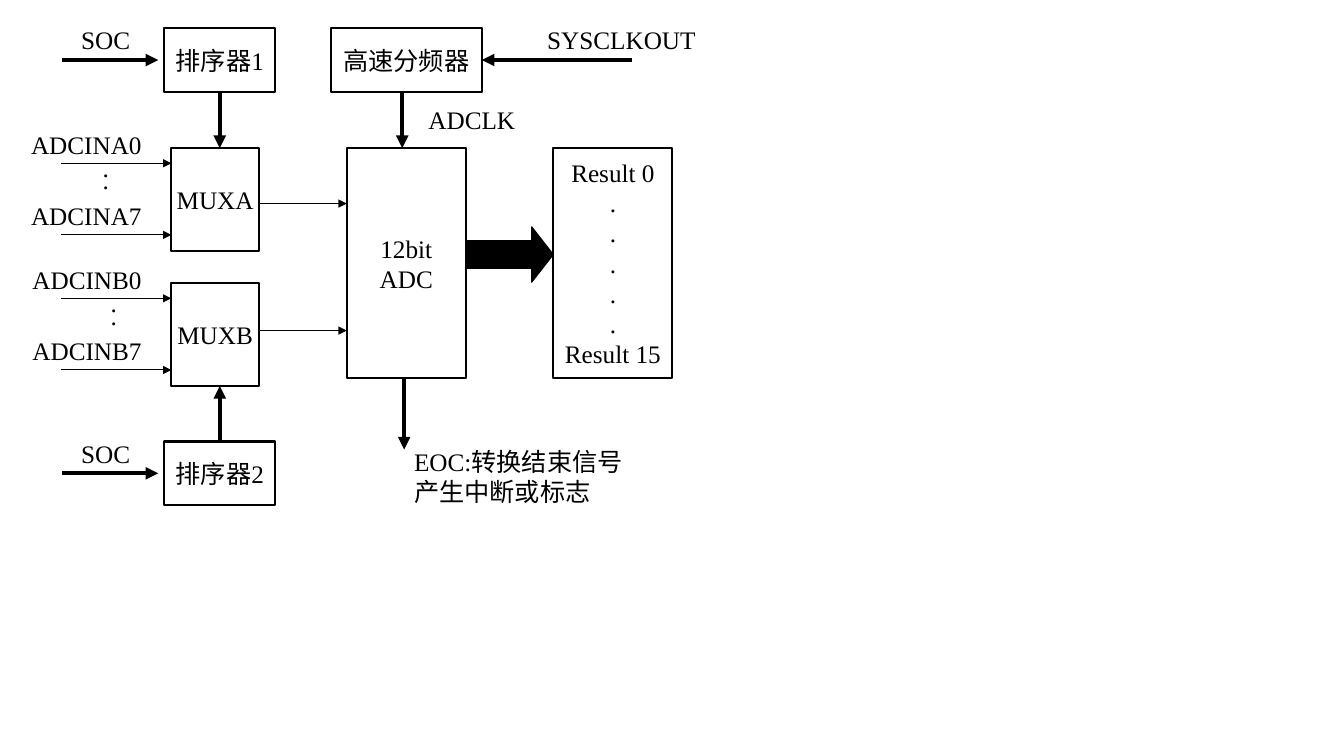
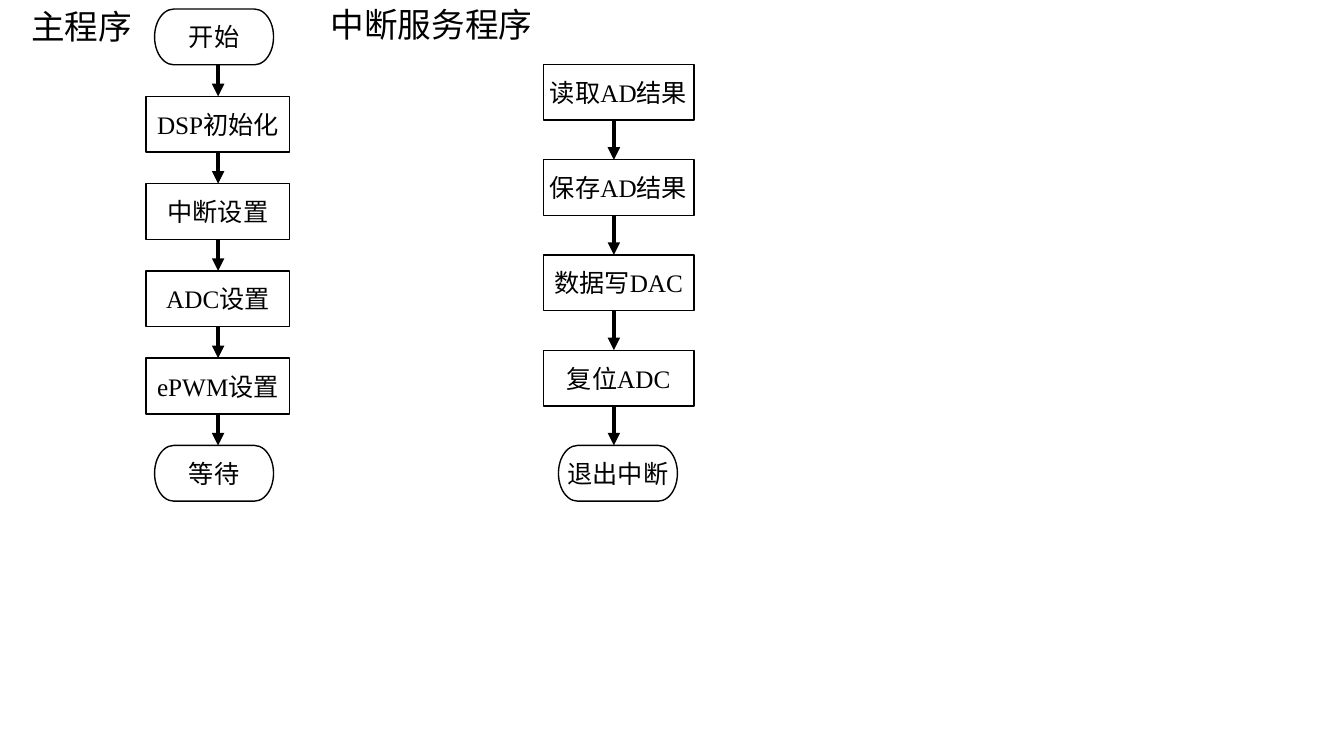
from dataclasses import dataclass

from lxml import etree
from pptx import Presentation
from pptx.dml.color import RGBColor
from pptx.enum import shapes, text
from pptx.oxml import ns
from pptx.util import Pt


@dataclass(frozen=True)
class Theme:
    ink: RGBColor = RGBColor(0, 0, 0)
    paper: RGBColor = RGBColor(255, 255, 255)
    font: str = "Times New Roman"
    body: float = 18
    title: float = 24
    thin: float = 0.75
    step: float = 1
    frame: float = 1.5
    thick: float = 3


@dataclass(frozen=True)
class Box:
    left: float
    top: float
    width: float
    height: float

    @property
    def right(self):
        return self.left + self.width

    @property
    def bottom(self):
        return self.top + self.height

    @property
    def middle(self):
        return self.top + self.height / 2

    def points(self):
        return [Pt(value) for value in (self.left, self.top, self.width, self.height)]


THEME = Theme()
SHAPE = shapes.MSO_SHAPE
ALIGN = text.PP_ALIGN


# Shared parts
def write(frame, lines, align, size=THEME.body, spacing=None):
    for index, line in enumerate(lines):
        paragraph = frame.add_paragraph() if index else frame.paragraphs[0]
        paragraph.alignment = align
        if spacing:
            paragraph.line_spacing = spacing
        run = paragraph.add_run()
        run.text = line
        run.font.name = THEME.font
        run.font.size = Pt(size)
        run.font.color.rgb = THEME.ink


def add_block(slide, box, lines=(), kind=SHAPE.RECTANGLE, line=THEME.frame, fill=THEME.paper):
    shape = slide.shapes.add_shape(kind, *box.points())
    shape.shadow.inherit = False
    shape.fill.solid()
    shape.fill.fore_color.rgb = fill
    shape.line.color.rgb = THEME.ink
    shape.line.width = Pt(line)
    frame = shape.text_frame
    frame.word_wrap = False
    frame.vertical_anchor = text.MSO_ANCHOR.MIDDLE
    write(frame, lines, ALIGN.CENTER)
    return shape


def add_label(slide, box, lines, align=ALIGN.RIGHT, wrap=False, **style):
    frame = slide.shapes.add_textbox(*box.points()).text_frame
    frame.word_wrap = wrap
    frame.auto_size = text.MSO_AUTO_SIZE.SHAPE_TO_FIT_TEXT
    write(frame, lines, align, **style)


def add_line(slide, start, end, width=THEME.thin, arrow=True):
    ends = [Pt(value) for value in (*start, *end)]
    connector = slide.shapes.add_connector(shapes.MSO_CONNECTOR.STRAIGHT, *ends)
    connector.line.color.rgb = THEME.ink
    connector.line.width = Pt(width)
    if arrow:
        outline = connector.line._get_or_add_ln()
        etree.SubElement(outline, ns.qn("a:tailEnd"), type="triangle")
    etree.SubElement(connector._element.spPr, ns.qn("a:effectLst"))


# Block diagram regions
def add_sequencer(slide, box, name, near_edge, mux_edge):
    add_block(slide, box, [name])
    axis = box.left + box.width / 2
    add_line(slide, (axis, near_edge), (axis, mux_edge), THEME.thick)
    add_line(slide, (box.left - 72.8, box.middle), (box.left - 4.3, box.middle), THEME.thick)
    add_label(slide, Box(box.left - 67, box.middle - 28.8, 49.7, 28.8), ["SOC"])


def add_multiplexer(slide, box, bank, dots_left, output, target):
    add_block(slide, box, ["MUX" + bank])
    for channel, offset in ((0, 10.8), (7, 62)):
        y = box.top + offset
        add_line(slide, (box.left - 79, y), (box.left, y))
        label = Box(box.left - 107.3, y - 28.1, 93.2, 28.8)
        add_label(slide, label, [f"ADCIN{bank}{channel}"])
    add_label(slide, Box(dots_left, box.top + 10.8, 18.7, 24.5), [".", "."], spacing=0.4)
    add_line(slide, (box.right, box.top + output), (target, box.top + output))


def add_clock(slide, box, converter_top):
    add_block(slide, box, ["高速分频器"])
    add_line(slide, (box.right + 107.2, box.middle), (box.right, box.middle), THEME.thick)
    add_label(slide, Box(box.right + 39.6, box.middle - 28.8, 120.2, 28.8), ["SYSCLKOUT"])
    axis = box.left + 51.1
    add_line(slide, (axis, box.bottom), (axis, converter_top), THEME.thick)
    add_label(slide, Box(axis + 11.5, box.bottom + 5.7, 76.3, 28.8), ["ADCLK"])


def add_converter(slide, box):
    add_block(slide, box, ["12bit", "ADC"])
    axis = box.left + 41
    add_line(slide, (axis, box.bottom), (axis, box.bottom + 51.1), THEME.thick)
    add_label(slide, Box(axis, box.bottom + 45.4, 204.5, 50.4),
              ["EOC:转换结束信号".replace(":", ":"), "产生中断或标志"], ALIGN.LEFT, wrap=True)


def add_results(slide, box, source):
    add_block(slide, box, ["Result 0", *"." * 5, "Result 15"])
    bus = Box(source, box.top + 56.2, box.left - source, 39.6)
    arrow = add_block(slide, bus, kind=SHAPE.RIGHT_ARROW, line=THEME.thin, fill=THEME.ink)
    arrow.adjustments[0] = 0.5
    arrow.adjustments[1] = 0.39


def build_block_diagram(slide):
    mux_a = Box(122.4, 105.8, 62.6, 73.4)
    mux_b = Box(122.4, 202.3, 62.6, 73.4)
    converter = Box(247.7, 105.8, 85, 164.2)
    first = Box(117.4, 20.2, 79.2, 45.4)
    second = Box(117.4, 315.4, 79.2, 45.4)
    add_multiplexer(slide, mux_a, "A", 66.2, 39.6, converter.left)
    add_multiplexer(slide, mux_b, "B", 72, 33.8, converter.left)
    add_converter(slide, converter)
    add_results(slide, Box(395.3, 105.8, 85, 164.2), converter.right)
    add_sequencer(slide, first, "排序器1", first.bottom, mux_a.top)
    add_sequencer(slide, second, "排序器2", second.top, mux_b.bottom)
    add_clock(slide, Box(236.2, 20.2, 108, 45.4), converter.top)
    # Small point below the converter
    add_line(slide, (236.2, 309.6), (236.2, 309.6), arrow=False)


# Flowchart column: steps share the height evenly, rounded ends mark start and stop
def add_flow(slide, box, steps, rounded, rounded_center, axis):
    step_height, rounded_width = 39.8, 85
    pitch = (box.height - step_height) / (len(steps) - 1)
    for index, name in enumerate(steps):
        top = box.top + index * pitch
        if name in rounded:
            place = Box(rounded_center - rounded_width / 2, top, rounded_width, step_height)
            kind = SHAPE.FLOWCHART_TERMINATOR
        else:
            place = Box(box.left, top, box.width, step_height)
            kind = SHAPE.RECTANGLE
        add_block(slide, place, [name], kind, THEME.step)
        if index:
            add_line(slide, (axis, top - pitch + step_height), (axis, top), THEME.thick)


def build_flowcharts(slide):
    add_flow(slide, Box(104.4, 6.5, 102.6, 351.5),
             ["开始", "DSP初始化", "中断设置", "ADC设置", "ePWM设置", "等待"],
             ("开始", "等待"), 152.9, 155.8)
    add_flow(slide, Box(388.1, 46.1, 107.6, 311.9),
             ["读取AD结果", "保存AD结果", "数据写DAC", "复位ADC", "退出中断"],
             ("退出中断",), 441.4, 438.5)
    add_label(slide, Box(14.4, 0.7, 87.1, 36), ["主程序"], size=THEME.title)
    add_label(slide, Box(227.5, -0.7, 159.8, 36), ["中断服务程序"], size=THEME.title)


presentation = Presentation()
presentation.slide_width = Pt(960)
presentation.slide_height = Pt(540)
for build in (build_block_diagram, build_flowcharts):
    build(presentation.slides.add_slide(presentation.slide_layouts[6]))
presentation.save("out.pptx")
